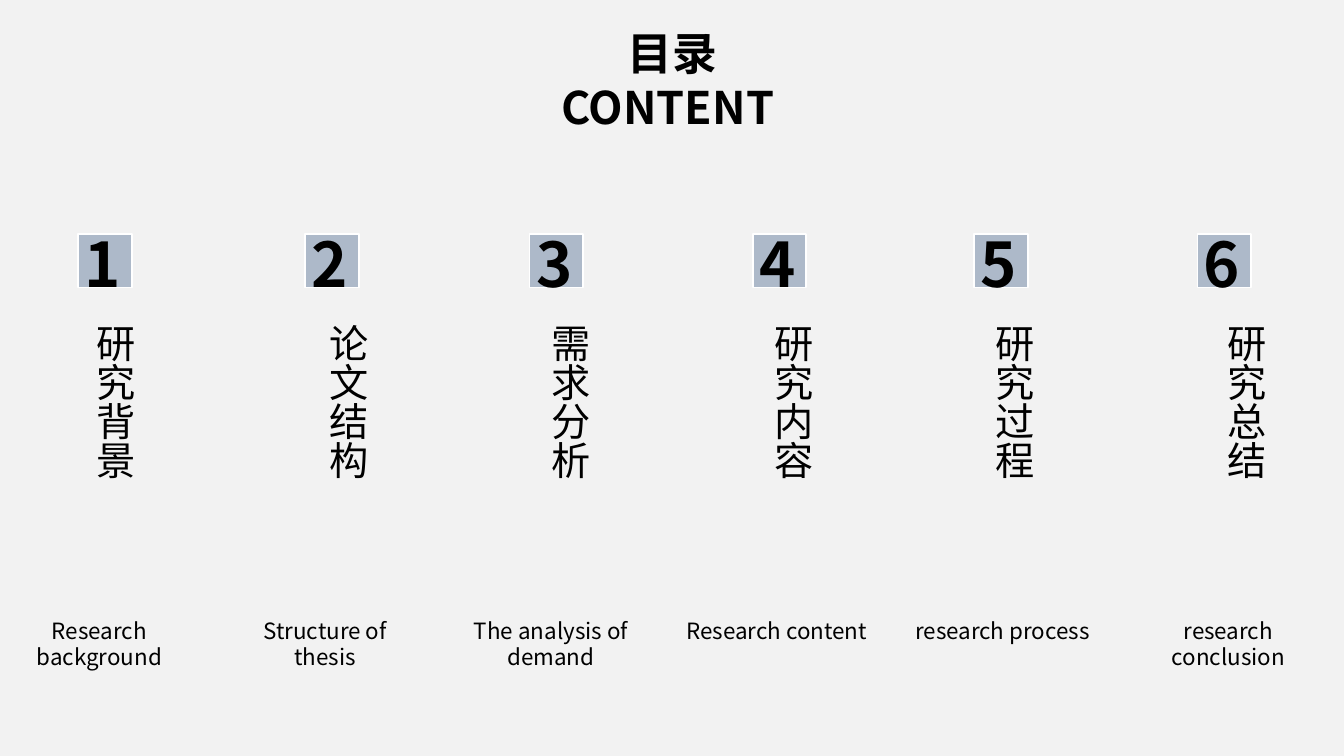
from pptx import Presentation
from pptx.dml.color import RGBColor
from pptx.enum.shapes import MSO_SHAPE
from pptx.enum.text import MSO_ANCHOR, PP_ALIGN
from pptx.oxml.ns import qn
from pptx.util import Inches, Pt
from lxml.etree import SubElement

PAPER = RGBColor(0xF2, 0xF2, 0xF2)
BLACK = RGBColor(0, 0, 0)
WHITE = RGBColor(0xFF, 0xFF, 0xFF)
SLATE = RGBColor(0x84, 0x97, 0xB0)
FONT = "Noto Sans CJK SC"

TOPICS = [
    (0.58, 0.52, "研究背景", "Research background"),
    (2.27, 2.25, "论文结构", "Structure of thesis"),
    (3.94, 3.90, "需求分析", "The analysis of demand"),
    (5.60, 5.56, "研究内容", "Research content"),
    (7.25, 7.21, "研究过程", "research process"),
    (8.91, 8.93, "研究总结", "research conclusion"),
]


def write(shape, text, size, bold=False, align=PP_ALIGN.LEFT):
    """Fill a shape with one styled paragraph."""
    frame = shape.text_frame
    frame.word_wrap = True
    frame.vertical_anchor = MSO_ANCHOR.TOP
    frame.text = text
    para = frame.paragraphs[0]
    para.alignment = align
    para.line_spacing = 1.0
    font = para.font
    font.name, font.size, font.bold = FONT, Pt(size), bold
    font.color.rgb = BLACK
    SubElement(font._element, qn("a:ea"), typeface=FONT)


def add_text(slide, left, top, width, height, text, size, **style):
    """Add a text box and return it."""
    box = slide.shapes.add_textbox(
        Inches(left), Inches(top), Inches(width), Inches(height))
    write(box, text, size, **style)
    return box


def add_title(slide, left, top, width, height):
    """Place the heading in the title placeholder, where it wraps to two lines."""
    title = slide.shapes.title
    title.left, title.top = Inches(left), Inches(top)
    title.width, title.height = Inches(width), Inches(height)
    write(title, "目录CONTENT ", 24, bold=True, align=PP_ALIGN.CENTER)


def add_badge(slide, left, top, side, number):
    """Draw a translucent square with its number on top."""
    square = slide.shapes.add_shape(
        MSO_SHAPE.RECTANGLE, Inches(left), Inches(top), Inches(side), Inches(side))
    square.shadow.inherit = False
    square.fill.solid()
    square.fill.fore_color.rgb = SLATE
    tint = square._element.spPr.find(qn("a:solidFill"))[0]
    SubElement(tint, qn("a:alpha"), val="62000")
    square.line.color.rgb = WHITE
    square.line.width = Pt(1)
    add_text(slide, left - 0.05, top - 0.11, 0.71, 0.66, str(number), 33, bold=True)


def add_label(slide, left, top, width, height, text):
    """Add a topic name that runs from top to bottom."""
    box = add_text(slide, left, top, width, height, text, 21)
    box.text_frame._txBody.bodyPr.set("vert", "eaVert")


def add_topics(slide, left, top, pitch):
    """Lay out badge, label and caption for each topic."""
    for i, (badge, label, name, caption) in enumerate(TOPICS):
        add_badge(slide, badge, top, 0.4, i + 1)
        add_label(slide, label, top + 0.57, 0.56, 2.69, name)
        add_text(slide, left + i * pitch, top + 2.8, 1.56, 0.5,
                 caption, 12, align=PP_ALIGN.CENTER)


def main():
    """Build and save the contents slide."""
    deck = Presentation()
    deck.slide_width = Inches(10)
    deck.slide_height = deck.slide_width * 9 // 16
    slide = deck.slides.add_slide(deck.slide_layouts[5])
    slide.background.fill.solid()
    slide.background.fill.fore_color.rgb = PAPER
    add_title(slide, 3.8, 0.14, 2.41, 0.93)
    add_topics(slide, -0.04, 1.74, 1.68)
    deck.save("out.pptx")


if __name__ == "__main__":
    main()
